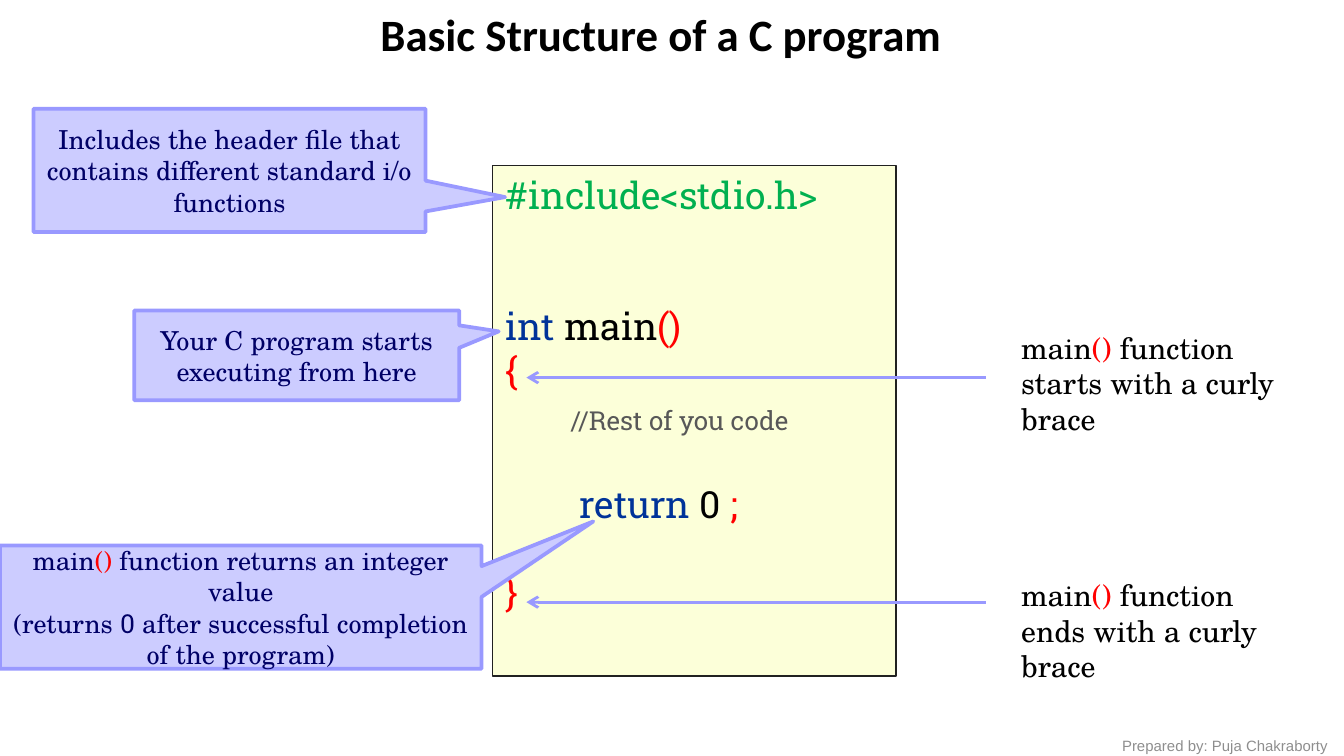
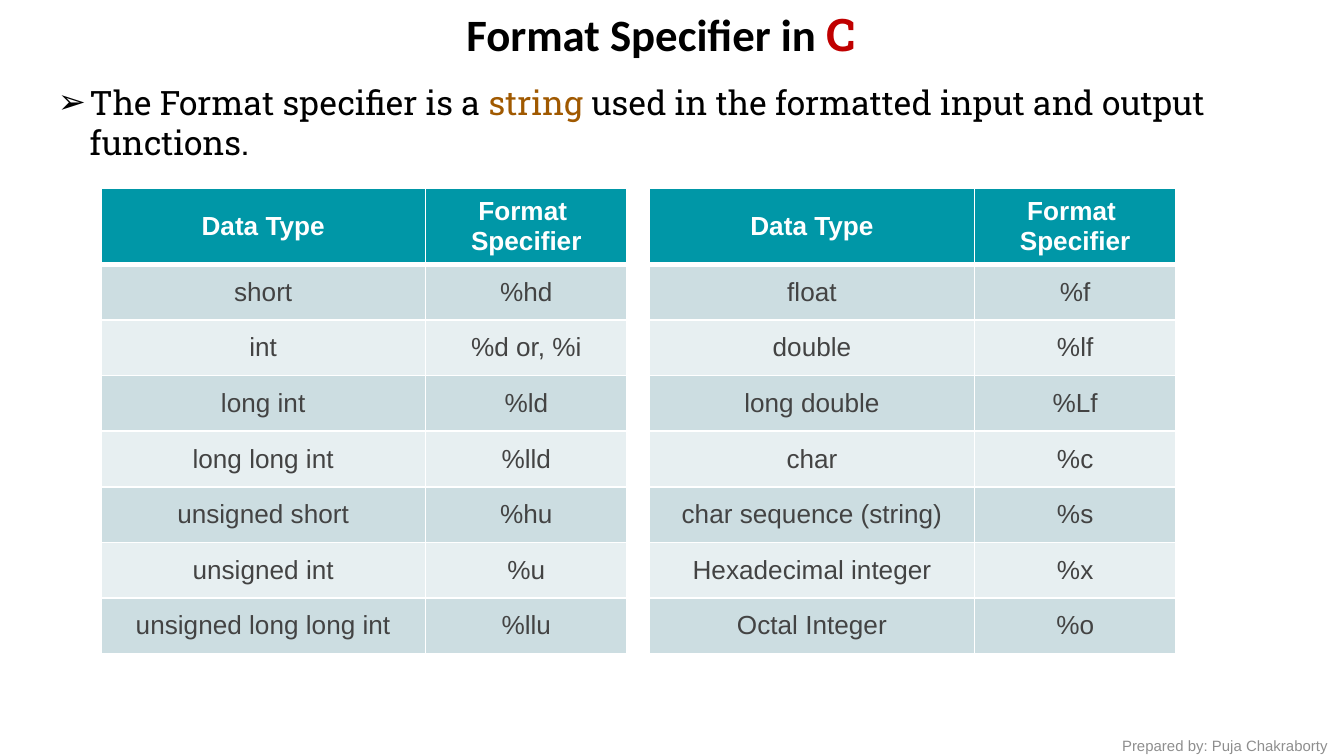
from dataclasses import dataclass
from typing import NamedTuple

from lxml import etree
from pptx import Presentation
from pptx.dml.color import RGBColor
from pptx.enum import shapes, text
from pptx.oxml import ns
from pptx.util import Pt

BLACK = RGBColor(0x00, 0x00, 0x00)
WHITE = RGBColor(0xFF, 0xFF, 0xFF)
RED = RGBColor(0xFF, 0x00, 0x00)
GREEN = RGBColor(0x00, 0xB0, 0x50)
BLUE = RGBColor(0x00, 0x33, 0x99)
NAVY = RGBColor(0x00, 0x00, 0x66)
LILAC = RGBColor(0xCC, 0xCC, 0xFF)
VIOLET = RGBColor(0x99, 0x99, 0xFF)
CREAM = RGBColor(0xFC, 0xFF, 0xD9)
INK = RGBColor(0x21, 0x21, 0x21)
SLATE = RGBColor(0x58, 0x58, 0x58)
GREY = RGBColor(0x8E, 0x8E, 0x8E)
CRIMSON = RGBColor(0xC0, 0x00, 0x00)
BROWN = RGBColor(0xA0, 0x59, 0x00)
TEAL = RGBColor(0x00, 0x97, 0xA7)
MIST = RGBColor(0xCC, 0xDD, 0xE1)
PALE = RGBColor(0xE7, 0xEF, 0xF1)
COAL = RGBColor(0x43, 0x43, 0x43)

SANS, HEAD, SLAB, SERIF = "Arial", "Calibri", "Roboto Slab", "TeX Gyre Schola"
LEFT, MID = text.PP_ALIGN.LEFT, text.PP_ALIGN.CENTER


class Box(NamedTuple):
    left: float
    top: float
    width: float
    height: float

    def points(self) -> list:
        return [Pt(side) for side in self]


class Run(NamedTuple):
    words: str
    color: RGBColor = BLACK
    face: str = ""


@dataclass
class Line:
    runs: list[Run]
    face: str
    size: float
    align: int = LEFT
    bold: bool = False
    before: float = 0
    indent: float = 0
    bullet: str = ""


@dataclass
class Callout:
    box: Box
    tip: tuple[float, float]
    rows: list[list[Run]]


@dataclass
class Brace:
    verb: str
    top: float
    level: float


@dataclass
class Grid:
    left: float
    rows: list[tuple[str, str]]


def add(parent, tag: str, **attrs: str):
    node = etree.SubElement(parent, ns.qn(tag))
    for key, value in attrs.items():
        node.set(key, value)
    return node


def style(font, face: str, size: float, bold: bool) -> None:
    font.name, font.size, font.bold = face, Pt(size), bold


def write(frame, lines: list[Line]) -> None:
    frame.word_wrap = True
    for index, line in enumerate(lines):
        para = frame.add_paragraph() if index else frame.paragraphs[0]
        para.alignment = line.align
        para.space_before = Pt(line.before)
        props = para._p.get_or_add_pPr()
        props.set("marL", str(Pt(line.indent)))
        if line.bullet:
            props.set("indent", str(-Pt(line.indent)))
            color = add(props, "a:buClr")
            add(color, "a:srgbClr", val=str(BLACK))
            add(props, "a:buFont", typeface=SANS)
            add(props, "a:buChar", char=line.bullet)
        style(para.font, line.face, line.size, line.bold)
        for part in line.runs:
            run = para.add_run()
            run.text = part.words
            style(run.font, part.face or line.face, line.size, line.bold)
            run.font.color.rgb = part.color


def label(slide, box: Box, lines: list[Line]) -> None:
    frame = slide.shapes.add_textbox(*box.points()).text_frame
    write(frame, lines)
    frame.auto_size = text.MSO_AUTO_SIZE.SHAPE_TO_FIT_TEXT


def panel(slide, kind, box: Box, fill: RGBColor, edge: RGBColor,
          weight: float, lines: list[Line], anchor):
    shape = slide.shapes.add_shape(kind, *box.points())
    shape.shadow.inherit = False
    shape.fill.solid()
    shape.fill.fore_color.rgb = fill
    shape.line.color.rgb = edge
    shape.line.width = Pt(weight)
    write(shape.text_frame, lines)
    shape.text_frame.vertical_anchor = anchor
    return shape


def callout(slide, note: Callout) -> None:
    lines = [Line(row, SERIF, 14, MID) for row in note.rows]
    shape = panel(slide, shapes.MSO_SHAPE.RECTANGULAR_CALLOUT, note.box,
                  LILAC, VIOLET, 2, lines, text.MSO_ANCHOR.MIDDLE)
    for index, shift in enumerate(note.tip):
        shape.adjustments[index] = shift


def brace(slide, note: Brace) -> None:
    link = slide.shapes.add_connector(
        shapes.MSO_CONNECTOR.STRAIGHT,
        Pt(528), Pt(note.level), Pt(282), Pt(note.level))
    link.line.color.rgb = VIOLET
    link.line.width = Pt(1.5)
    add(link.line._get_or_add_ln(), "a:tailEnd", type="arrow")
    add(link._element.spPr, "a:effectLst")
    runs = [Run("main"), Run("()", RED),
            Run(f" function {note.verb} with a curly brace")]
    label(slide, Box(540, note.top, 162, 65.5), [Line(runs, SERIF, 16)])


def border(cell, side: str, weight: float) -> None:
    edge = add(cell._tc.get_or_add_tcPr(), f"a:{side}", w=str(Pt(weight)))
    add(add(edge, "a:solidFill"), "a:srgbClr", val=str(WHITE))


def table(slide, grid: Grid) -> None:
    rows = [("Data Type", "Format \nSpecifier"), *grid.rows]
    step = 29.8
    box = Box(grid.left, 100.8, 282, step * len(rows))
    chart = slide.shapes.add_table(len(rows), 2, *box.points()).table
    for column, width in zip(chart.columns, (174, 108)):
        column.width = Pt(width)
    for r, row in enumerate(rows):
        chart.rows[r].height = Pt(step)
        head = r == 0
        fill = TEAL if head else (MIST if r % 2 else PALE)
        ink = WHITE if head else COAL
        for c, words in enumerate(row):
            cell = chart.cell(r, c)
            cell.vertical_anchor = text.MSO_ANCHOR.MIDDLE
            write(cell.text_frame, [Line([Run(part, ink)], SANS, 14, MID, head)
                                    for part in words.split("\n")])
            border(cell, "lnL", 1)
            border(cell, "lnR", 1)
            if head:
                border(cell, "lnT", 1)
            border(cell, "lnB", 3 if head else 1)
            cell.fill.solid()
            cell.fill.fore_color.rgb = fill


def page(deck, title: list[Run]):
    slide = deck.slides.add_slide(deck.slide_layouts[6])
    label(slide, Box(132, 0, 444, 36), [Line(title, HEAD, 24, MID, True)])
    label(slide, Box(594, 391, 132, 17),
          [Line([Run("Prepared by: Puja Chakraborty", GREY)], SANS, 8)])
    return slide


CODE = [
    Line([Run("#include<stdio.h>", GREEN)], SLAB, 20),
    Line([Run("int", BLUE), Run(" main"), Run("()", RED)], SLAB, 20, before=46),
    Line([Run("{", RED)], SLAB, 20),
    Line([Run("//Rest of you code", SLATE)], SLAB, 14, before=6.3, indent=34.6),
    Line([Run("return", BLUE), Run(" 0 "), Run(";", RED)], SLAB, 20,
         before=24.6, indent=39.5),
    Line([Run("}", RED)], SLAB, 20, before=23),
]

NOTES = [
    Callout(Box(18, 58.3, 210, 66), (0.703, 0.217), [
        [Run("Includes the header file that contains different "
             "standard i/o functions", NAVY)]]),
    Callout(Box(72, 166.3, 174, 48.2), (0.622, -0.266), [
        [Run("Your C program starts executing from here", NAVY)]]),
    Callout(Box(0, 292.3, 258, 66), (0.732, -0.696), [
        [Run("main", NAVY), Run("()", RED),
         Run(" function returns an integer value", NAVY)],
        [Run("(returns ", NAVY), Run("0", NAVY, SLAB),
         Run(" after successful completion of the program)", NAVY)]]),
]

BRACES = [Brace("starts", 172.8, 202.3), Brace("ends", 305.3, 322.6)]

GRIDS = [
    Grid(54, [("short", "%hd"), ("int", "%d or, %i"), ("long int", "%ld"),
              ("long long int", "%lld"), ("unsigned short", "%hu"),
              ("unsigned int", "%u"), ("unsigned long long int", "%llu")]),
    Grid(348, [("float", "%f"), ("double", "%lf"), ("long double", "%Lf"),
               ("char", "%c"), ("char sequence (string)", "%s"),
               ("Hexadecimal integer", "%x"), ("Octal Integer", "%o")]),
]


def basics(deck) -> None:
    slide = page(deck, [Run("Basic Structure of a C program")])
    panel(slide, shapes.MSO_SHAPE.RECTANGLE, Box(264, 88.6, 216, 273.6),
          CREAM, INK, 0.75, CODE, text.MSO_ANCHOR.TOP)
    for note in BRACES:
        brace(slide, note)
    for note in NOTES:
        callout(slide, note)


def formats(deck) -> None:
    slide = page(deck, [Run("Format Specifier in "), Run("C", CRIMSON, SLAB)])
    runs = [Run("The Format specifier is a "), Run("string", BROWN),
            Run(" used in the formatted input and output functions.")]
    label(slide, Box(24, 40.3, 678, 51),
          [Line(runs, SLAB, 18, indent=17, bullet="➢")])
    for grid in GRIDS:
        table(slide, grid)


def main() -> None:
    deck = Presentation()
    deck.slide_width, deck.slide_height = Pt(720), Pt(405)
    basics(deck)
    formats(deck)
    deck.save("out.pptx")


if __name__ == "__main__":
    main()
